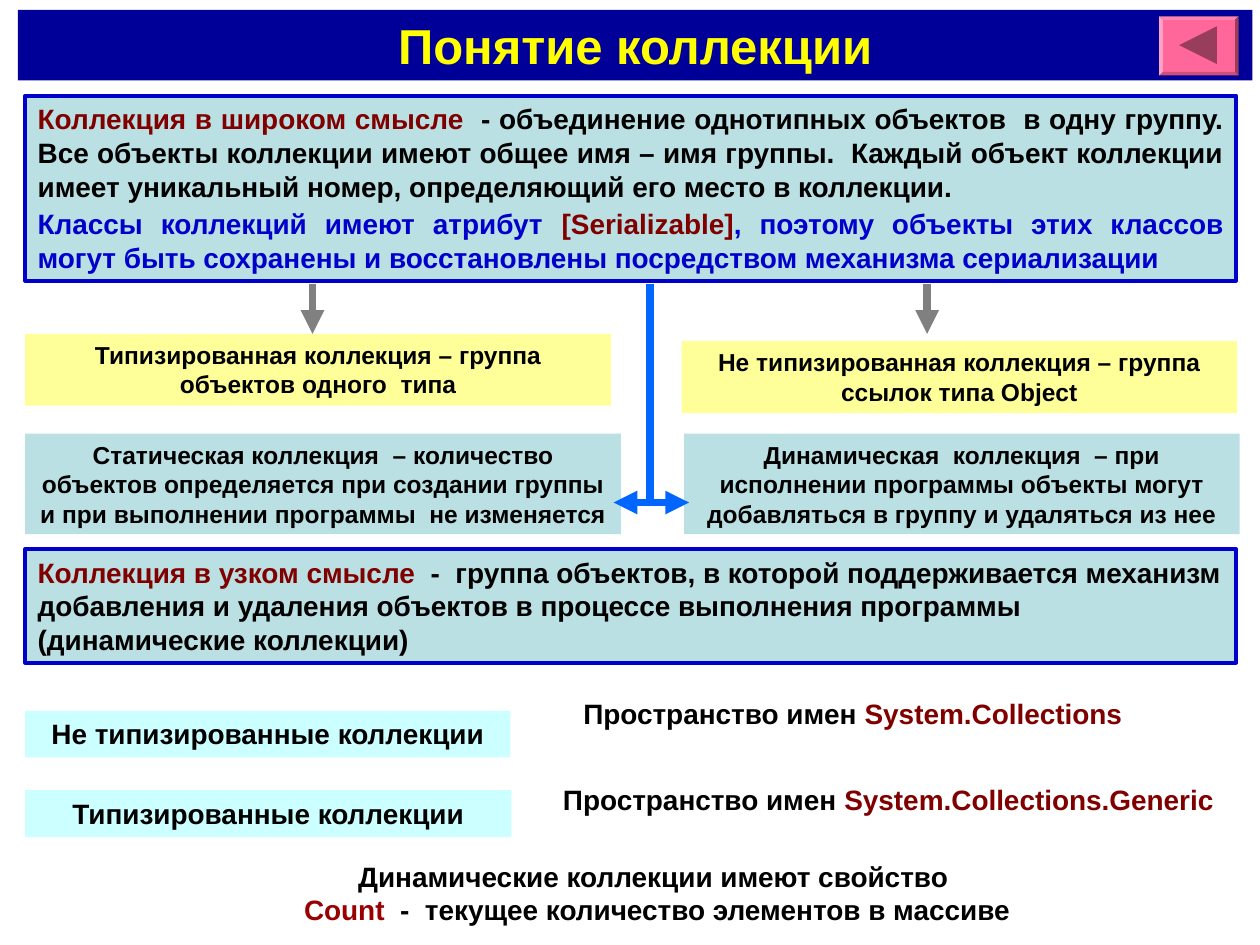
"""Build a slide that explains what a collection is."""
from lxml import etree
from pptx import Presentation
from pptx import util as u
from pptx.dml.color import RGBColor
from pptx.enum import shapes, text
from pptx.oxml import ns

BLACK = RGBColor(0x00, 0x00, 0x00)
NAVY = RGBColor(0x00, 0x00, 0x99)
BLUE = RGBColor(0x00, 0x00, 0xCC)
SKY = RGBColor(0x00, 0x66, 0xFF)
GRAY = RGBColor(0x80, 0x80, 0x80)
RED = RGBColor(0x80, 0x00, 0x00)
BRICK = RGBColor(0x99, 0x00, 0x00)
PINK = RGBColor(0xFF, 0x66, 0x99)
PLUM = RGBColor(0x99, 0x3D, 0x5C)
BRIGHT = RGBColor(0xFF, 0xFF, 0x00)
CREAM = RGBColor(0xFF, 0xFF, 0x99)
TEAL = RGBColor(0xBB, 0xE0, 0xE3)
AQUA = RGBColor(0xCC, 0xFF, 0xFF)

MID = text.PP_ALIGN.CENTER
LEFT = text.PP_ALIGN.LEFT
FULL = text.PP_ALIGN.JUSTIFY
KIND = shapes.MSO_SHAPE
EDGE = 0.51
WIDE = 24.41


class Deck:
    """Hold the style and the current slide."""

    def __init__(self, font="Arial", width=25.4, height=19.05):
        self.font = font
        self.file = Presentation()
        self.file.slide_width, self.file.slide_height = u.Cm(width), u.Cm(height)
        self.slide = self.file.slides.add_slide(self.file.slide_layouts[6])

    def shape(self, kind, place, fill, line=None):
        """Draw a filled preset shape."""
        item = self.slide.shapes.add_shape(kind, *map(u.Cm, place))
        item.shadow.inherit = False
        item.fill.solid()
        item.fill.fore_color.rgb = fill
        if line is None:
            item.line.fill.background()
        else:
            item.line.color.rgb = line
            item.line.width = u.Pt(2.25)
        return item

    def letter(self, item, paras, size, align, anchor=text.MSO_ANCHOR.TOP):
        """Fill a shape with paragraphs of (words, colour, other style) runs."""
        frame = item.text_frame
        frame.word_wrap = True
        frame.vertical_anchor = anchor
        for rank, runs in enumerate(paras):
            para = frame.add_paragraph() if rank else frame.paragraphs[0]
            para.alignment = align
            for words, color, *other in runs:
                run = para.add_run()
                run.text = words
                name, points, bold = other or (self.font, size, True)
                run.font.name, run.font.size, run.font.bold = name, u.Pt(points), bold
                run.font.color.rgb = color

    def panel(self, place, fill, paras, size=14, align=MID, line=None, **more):
        """Draw a filled rectangle with text."""
        self.letter(self.shape(KIND.RECTANGLE, place, fill, line), paras, size, align, **more)

    def label(self, place, paras, align=LEFT):
        """Set text with no fill."""
        self.letter(self.slide.shapes.add_textbox(*map(u.Cm, place)), paras, 16, align)

    def link(self, ends, color, *tips):
        """Draw a straight line with arrowheads at the given tips."""
        item = self.slide.shapes.add_connector(shapes.MSO_CONNECTOR.STRAIGHT, *map(u.Cm, ends))
        item.line.color.rgb = color
        item.line.width = u.Pt(4.5)
        props = item._element.spPr
        stroke = props.find(ns.qn("a:ln"))
        for tip in tips:
            etree.SubElement(stroke, ns.qn(f"a:{tip}"), type="triangle")
        etree.SubElement(props, ns.qn("a:effectLst"))

    def button(self, place, mark):
        """Draw a bevelled button with a triangle that points back."""
        self.shape(KIND.BEVEL, place, PINK).adjustments[0] = 0.06
        self.shape(KIND.ISOSCELES_TRIANGLE, mark, PLUM).rotation = 270


def main():
    """Lay out the slide and save it."""
    deck = Deck()
    deck.panel((0.36, 0.2, 24.89, 1.42), NAVY, [[("Понятие коллекции", BRIGHT)]],
               size=28, anchor=text.MSO_ANCHOR.MIDDLE)
    deck.button((23.37, 0.33, 1.6, 1.19), (23.77, 0.53, 0.76, 0.76))

    broad = [
        [("Коллекция в широком смысле", RED),
         ("  - объединение однотипных объектов  в одну группу. Все объекты коллекции "
          "имеют общее имя – имя группы.  Каждый объект коллекции имеет уникальный "
          "номер, определяющий его место в коллекции. ", BLACK)],
        [("Классы коллекций имеют атрибут", BLUE),
         (" ", BLACK, "Montserrat", 18, False),
         ("[Serializable]", RED),
         (", поэтому объекты этих классов могут быть сохранены и восстановлены "
          "посредством механизма сериализации", BLUE)],
    ]
    strict = [
        [("Коллекция в узком смысле", RED),
         ("  -  группа объектов, в которой поддерживается механизм добавления и удаления "
          "объектов в процессе выполнения программы (динамические коллекции)", BLACK)],
    ]
    for top, high, paras, align in ((1.93, 3.73, broad, FULL), (11.07, 2.29, strict, LEFT)):
        deck.panel((EDGE, top, WIDE, high), TEAL, paras, 16, align, BLUE)

    for place, fill, words, size in (
        ((EDGE, 6.73, 11.81, 1.45), CREAM,
         "Типизированная коллекция – группа объектов одного  типа", 14),
        ((13.74, 6.88, 11.2, 1.45), CREAM,
         "Не типизированная коллекция – группа ссылок типа Object", 14),
        ((EDGE, 8.74, 12.01, 2.03), TEAL,
         "Статическая коллекция  – количество объектов определяется при создании группы "
         "и при выполнении программы  не изменяется", 14),
        ((13.79, 8.74, 11.2, 2.03), TEAL,
         "Динамическая  коллекция  – при исполнении программы объекты могут добавляться "
         "в группу и удаляться из нее", 14),
        ((EDGE, 14.33, 9.78, 0.94), AQUA, "Не типизированные коллекции", 16),
        ((EDGE, 15.93, 9.8, 0.94), AQUA, "Типизированные коллекции", 16),
    ):
        deck.panel(place, fill, [[(words, BLACK)]], size)

    for x in (6.3, 18.69):
        deck.link((x, 5.72, x, 6.73), GRAY, "tailEnd")
    deck.link((13.11, 5.72, 13.11, 10.13), SKY)
    deck.link((12.37, 10.13, 13.89, 10.13), SKY, "headEnd", "tailEnd")

    for place, name in (
        ((11.51, 13.92, 12.01, 0.94), "System.Collections"),
        ((11.1, 15.65, 13.89, 0.94), "System.Collections.Generic"),
    ):
        deck.label(place, [[("Пространство имен ", BLACK), (name, RED)]])
    deck.label((3.43, 17.2, 19.48, 1.63), [
        [("Динамические коллекции имеют свойство", BLACK)],
        [(" Count", BRICK), ("  -  текущее количество элементов в массиве", BLACK)],
    ], MID)
    deck.file.save("out.pptx")


if __name__ == "__main__":
    main()
